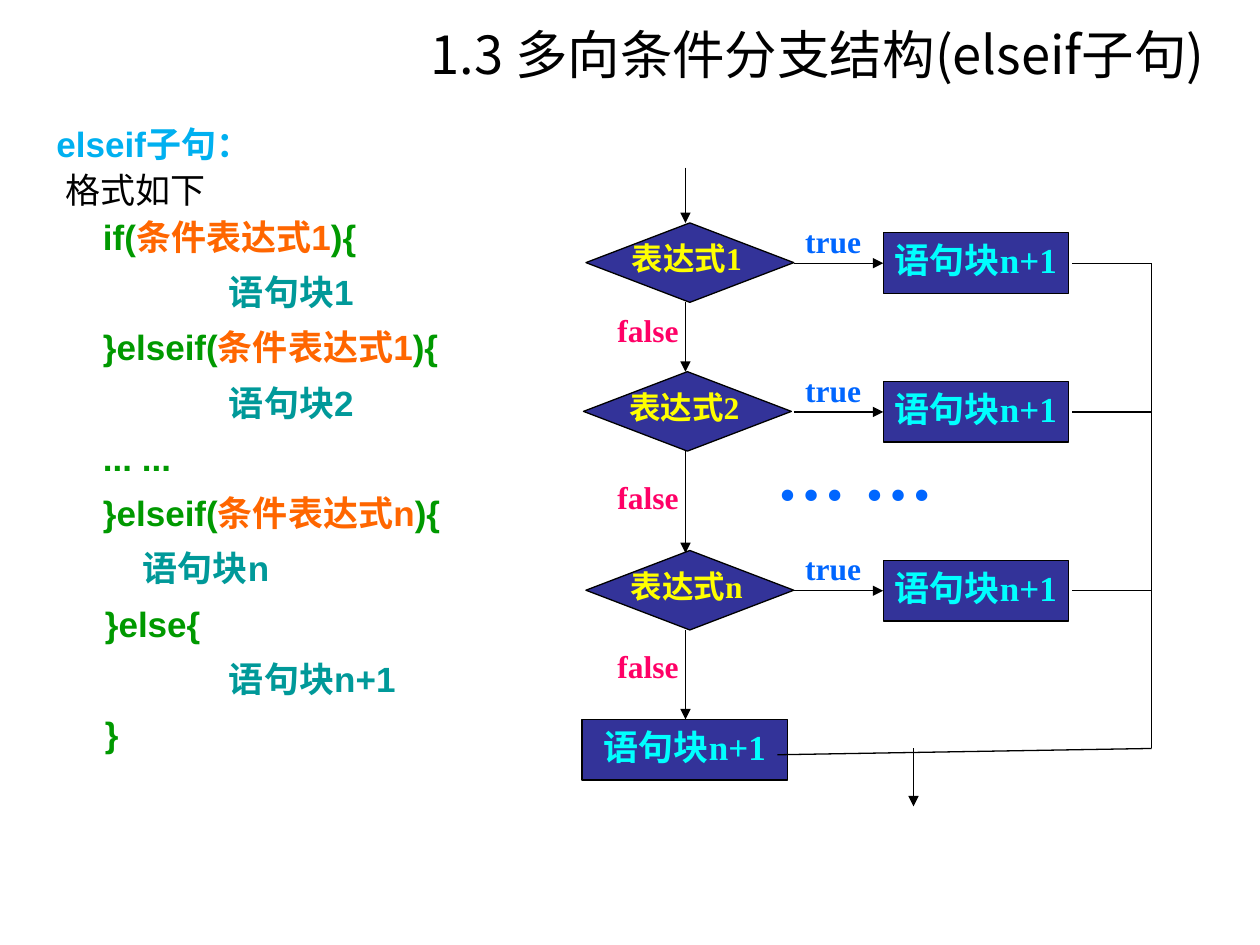
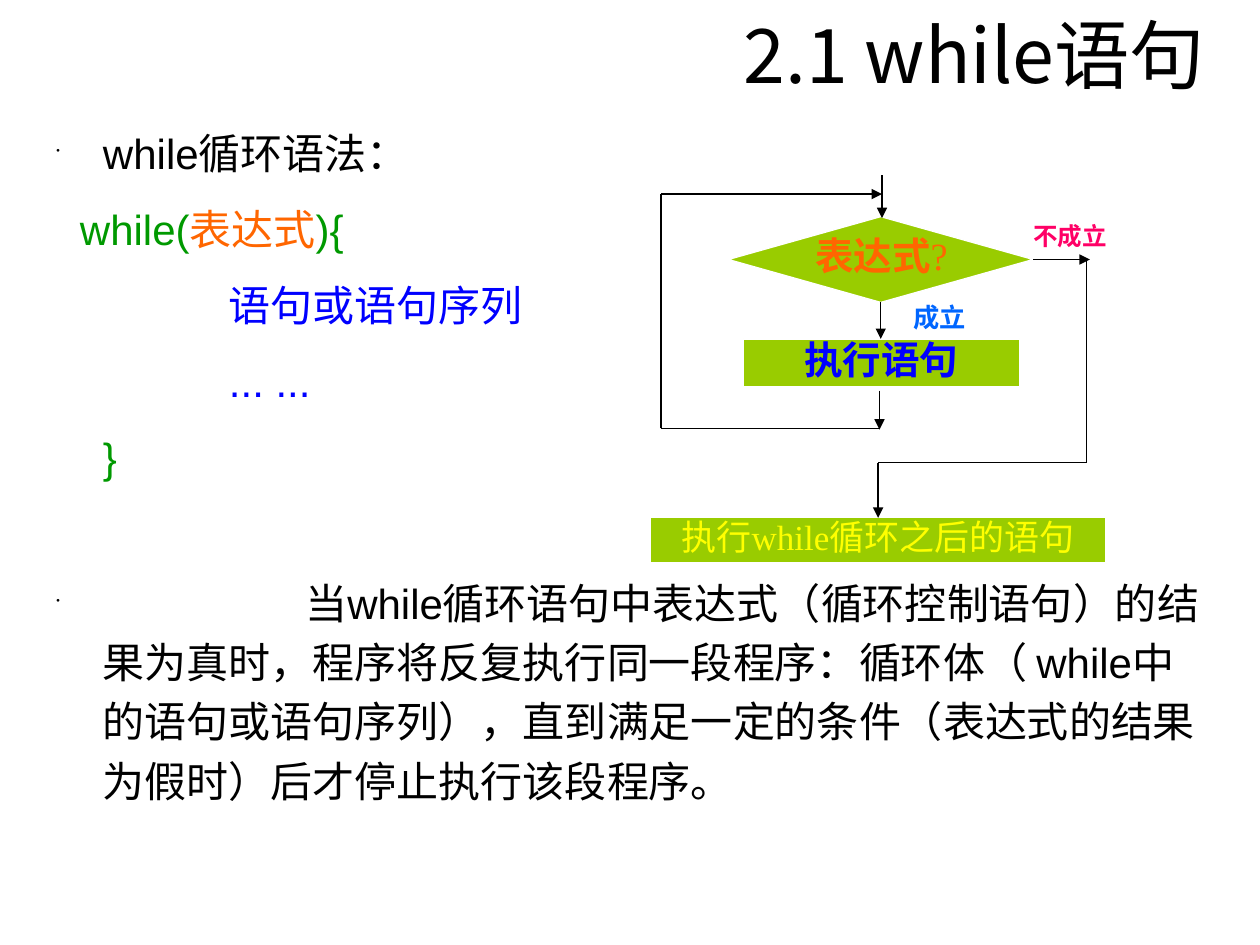
from dataclasses import dataclass
from typing import Optional

import pptx
import pptx.dml.color
import pptx.enum.shapes
import pptx.enum.text
import pptx.oxml
import pptx.oxml.ns
import pptx.util
from lxml import etree

Pt = pptx.util.Pt
Shapes = pptx.enum.shapes.MSO_SHAPE
Align = pptx.enum.text.PP_ALIGN
Anchor = pptx.enum.text.MSO_ANCHOR
qn = pptx.oxml.ns.qn


@dataclass(frozen=True)
class Theme:
    title_font: str = "Noto Sans CJK SC"
    body_font: str = "Arial"
    chart_font: str = "Times New Roman"
    black: str = "000000"
    white: str = "FFFFFF"
    heading: str = "00B0F0"
    keyword: str = "009900"
    condition: str = "FF6600"
    block: str = "009999"
    statement: str = "0000FF"
    navy: str = "333399"
    lime: str = "99CC00"
    yellow: str = "FFFF00"
    cyan: str = "00FFFF"
    yes: str = "0066FF"
    no: str = "FF0066"
    branch_title_size: float = 30
    loop_title_size: float = 43
    code_size: float = 20
    syntax_size: float = 24
    flow_size: float = 18
    result_size: float = 20
    loop_size: float = 22
    yes_size: float = 15
    no_size: float = 14
    dots_size: float = 40
    outline: float = 0.75


THEME = Theme()
HANG = 26.6
BLOCK_INDENT = 98.6
TAB_STEP = 71.1


@dataclass(frozen=True)
class Box:
    left: float
    top: float
    width: float
    height: float

    def lengths(self) -> tuple:
        return Pt(self.left), Pt(self.top), Pt(self.width), Pt(self.height)


@dataclass(frozen=True)
class Span:
    text: str
    color: str
    bold: Optional[bool] = None


@dataclass(frozen=True)
class Line:
    spans: tuple
    size: float
    font: str = THEME.chart_font
    bold: bool = False
    align: Align = Align.LEFT
    spacing: object = 1.0
    before: float = 0
    after: float = 0
    indent: float = 0
    bullet: bool = False


@dataclass(frozen=True)
class Branch:
    condition: str
    left: float
    top: float
    false_top: float
    next_top: float


@dataclass(frozen=True)
class Link:
    x1: float
    y1: float
    x2: float
    y2: float
    arrow: bool = False


BODY = Box(25.2, 69.1, 669.6, 396)


def rgb(value: str) -> pptx.dml.color.RGBColor:
    return pptx.dml.color.RGBColor.from_string(value)


def add_bullet(paragraph) -> None:
    properties = paragraph._p.get_or_add_pPr()
    properties.set("marL", str(Pt(HANG)))
    properties.set("indent", str(-Pt(HANG)))
    color = etree.SubElement(properties, qn("a:buClr"))
    etree.SubElement(color, qn("a:srgbClr"), val=THEME.black)
    etree.SubElement(properties, qn("a:buSzPct"), val="25000")
    etree.SubElement(properties, qn("a:buChar"), char="•")
    stops = etree.SubElement(properties, qn("a:tabLst"))
    for step in range(1, 9):
        etree.SubElement(stops, qn("a:tab"), pos=str(Pt(step * TAB_STEP)), algn="l")


def write(frame, lines: tuple, inset: float = 6.5, wrap: bool = True,
          anchor: Anchor = Anchor.TOP) -> None:
    frame.word_wrap = wrap
    frame.auto_size = pptx.enum.text.MSO_AUTO_SIZE.NONE
    frame.vertical_anchor = anchor
    frame.margin_left = frame.margin_right = Pt(inset)
    frame.margin_top = frame.margin_bottom = Pt(3.6)
    for index, line in enumerate(lines):
        paragraph = frame.add_paragraph() if index else frame.paragraphs[0]
        if line.bullet:
            add_bullet(paragraph)
        elif line.indent:
            paragraph._p.get_or_add_pPr().set("marL", str(Pt(line.indent)))
        paragraph.alignment = line.align
        paragraph.line_spacing = line.spacing
        paragraph.space_before = Pt(line.before)
        paragraph.space_after = Pt(line.after)
        paragraph.font.name = line.font
        paragraph.font.size = Pt(line.size)
        paragraph.font.bold = line.bold
        colors = {span.color for span in line.spans}
        if len(colors) == 1:
            paragraph.font.color.rgb = rgb(line.spans[0].color)
        for span in line.spans:
            run = paragraph.add_run()
            run.text = span.text
            if len(colors) > 1:
                run.font.color.rgb = rgb(span.color)
            if span.bold is not None:
                run.font.bold = span.bold


def add_titled_slide(deck, title: str, size: float):
    slide = deck.slides.add_slide(deck.slide_layouts[5])
    heading = slide.shapes.title
    heading.left, heading.top, heading.width, heading.height = Box(200.2, 5.8, 495.4, 49.7).lengths()
    line = Line((Span(title, THEME.black),), size, THEME.title_font, align=Align.RIGHT)
    write(heading.text_frame, (line,), 7.2, anchor=Anchor.MIDDLE)
    return slide


def add_text(slide, box: Box, lines: tuple, inset: float = 6.5) -> None:
    write(slide.shapes.add_textbox(*box.lengths()).text_frame, lines, inset)


def add_label(slide, box: Box, text: str, color: str, size: float) -> None:
    add_text(slide, box, (Line((Span(text, color),), size, bold=True, spacing=0.8),))


def add_figure(slide, kind: Shapes, box: Box, fill: str, outline: str,
               line: Optional[Line] = None, wrap: bool = True) -> None:
    figure = slide.shapes.add_shape(kind, *box.lengths())
    figure.shadow.inherit = False
    figure.fill.solid()
    figure.fill.fore_color.rgb = rgb(fill)
    figure.line.color.rgb = rgb(outline)
    figure.line.width = Pt(THEME.outline)
    if line:
        write(figure.text_frame, (line,), wrap=wrap)


def add_link(slide, link: Link) -> None:
    connector = slide.shapes.add_connector(
        pptx.enum.shapes.MSO_CONNECTOR.STRAIGHT,
        Pt(link.x1), Pt(link.y1), Pt(link.x2), Pt(link.y2))
    connector.line.color.rgb = rgb(THEME.black)
    connector.line.width = Pt(THEME.outline)
    properties = connector._element.spPr
    if link.arrow:
        etree.SubElement(properties.find(qn("a:ln")), qn("a:tailEnd"), type="triangle")
    etree.SubElement(properties, qn("a:effectLst"))


def add_result(slide, box: Box) -> None:
    line = Line((Span("语句块n+1", THEME.cyan),), THEME.result_size, bold=True, align=Align.CENTER)
    add_figure(slide, Shapes.RECTANGLE, box, THEME.navy, THEME.black, line, wrap=False)


def add_branch(slide, branch: Branch, stem: float, merge: float) -> None:
    top, middle = branch.top, branch.top + 23
    add_figure(slide, Shapes.DIAMOND, Box(branch.left, top, 118.8, 45.4), THEME.navy, THEME.black)
    condition = Line((Span(branch.condition, THEME.yellow),), THEME.flow_size,
                     bold=True, align=Align.CENTER)
    add_text(slide, Box(branch.left + 13, top + 5.8, 89.3, 28.1), (condition,))
    add_result(slide, Box(504.7, top + 5.6, 105.8, 34.6))
    add_label(slide, Box(453.6, top, 50, 23.8), "true", THEME.yes, THEME.flow_size)
    add_label(slide, Box(346.3, branch.false_top, 52, 23.8), "false", THEME.no, THEME.flow_size)
    add_link(slide, Link(453.6, middle, 504.7, middle, True))
    add_link(slide, Link(612.7, middle, merge, middle))
    add_link(slide, Link(stem, top + 45.4, stem, branch.next_top, True))


def code_line(indent: float, *spans: Span) -> Line:
    return Line(spans, THEME.code_size, THEME.body_font, True, spacing=0.9,
                before=5, after=5, indent=indent)


def condition_line(opening: str, condition: str) -> Line:
    return code_line(HANG, Span(opening, THEME.keyword), Span(condition, THEME.condition),
                     Span("){", THEME.keyword))


def syntax_line(indent: float, *spans: Span) -> Line:
    return Line(spans, THEME.syntax_size, THEME.body_font, spacing=1.3, before=6, indent=indent)


def build_elseif(deck) -> None:
    slide = add_titled_slide(deck, "1.3 多向条件分支结构(elseif子句)", THEME.branch_title_size)
    add_text(slide, BODY, (
        Line((Span("elseif子句：", THEME.heading),), THEME.code_size, THEME.body_font, True,
             spacing=0.9),
        Line((Span("格式如下", THEME.black),), THEME.code_size, THEME.body_font,
             spacing=0.9, before=5, indent=5),
        condition_line("if(", "条件表达式1"),
        code_line(BLOCK_INDENT, Span("语句块1", THEME.block)),
        condition_line("}elseif(", "条件表达式1"),
        code_line(BLOCK_INDENT, Span("语句块2", THEME.block)),
        code_line(HANG, Span("... ...", THEME.keyword)),
        condition_line("}elseif(", "条件表达式n"),
        code_line(49.3, Span("语句块n", THEME.block)),
        code_line(27.7, Span("}else{", THEME.keyword)),
        code_line(BLOCK_INDENT, Span("语句块n+1", THEME.block)),
        code_line(27.7, Span("}", THEME.keyword)),
    ), 7.2)

    stem, merge, merge_bottom, else_top = 391.7, 658.1, 427.7, 411.1
    add_result(slide, Box(332.6, else_top, 117.4, 34.6))
    for branch in (
        Branch("表达式1", 334.8, 127.4, 178.6, 212.4),
        Branch("表达式2", 333.4, 212.4, 273.6, 316.1),
        Branch("表达式n", 334.8, 314.6, 370.1, else_top),
    ):
        add_branch(slide, branch, stem, merge)
    for link in (
        Link(stem, 95.8, stem, 127.4, True),
        Link(merge, 150.4, merge, merge_bottom),
        Link(merge, merge_bottom, 444.2, 431.3),
        Link(522, merge_bottom, 522, 460.8, True),
    ):
        add_link(slide, link)
    add_label(slide, Box(437, 252, 107.3, 44.6), "… …", THEME.yes, THEME.dots_size)


def build_while(deck) -> None:
    slide = add_titled_slide(deck, "2.1 while语句", THEME.loop_title_size)
    explanation = (
        "\t\t当while循环语句中表达式（循环控制语句）的结果为真时，程序将反复执行同一段程序："
        "循环体（ while中的语句或语句序列），直到满足一定的条件（表达式的结果为假时）"
        "后才停止执行该段程序。")
    add_text(slide, BODY, (
        Line((Span("while循环语法：", THEME.black),), THEME.syntax_size, THEME.body_font,
             bullet=True),
        syntax_line(13.4, Span("while(", THEME.keyword), Span("表达式", THEME.condition),
                    Span("){", THEME.keyword)),
        syntax_line(BLOCK_INDENT, Span("语句或语句序列", THEME.statement)),
        syntax_line(BLOCK_INDENT, Span("... ...", THEME.statement)),
        syntax_line(HANG, Span("}", THEME.keyword)),
        Line((Span(explanation, THEME.black),), THEME.syntax_size, THEME.body_font,
             spacing=Pt(34), before=49.4, bullet=True),
    ), 7.2)

    add_figure(slide, Shapes.DIAMOND, Box(416.2, 123.8, 174.2, 49), THEME.lime, THEME.white)
    question = Line((Span("表达式", THEME.condition), Span("?", THEME.condition, False)),
                    THEME.loop_size, bold=True, align=Align.CENTER)
    add_text(slide, Box(452.9, 128.9, 101.5, 33.1), (question,))
    for box, text, color, size, bold in (
        (Box(424.8, 193.7, 157.7, 27.4), "执行语句", THEME.statement, THEME.loop_size, True),
        (Box(371.5, 295.9, 260.6, 25.9), "执行while循环之后的语句", THEME.yellow,
         THEME.result_size, False),
    ):
        line = Line((Span(text, color),), size, bold=bold, align=Align.CENTER, spacing=0.8)
        add_figure(slide, Shapes.RECTANGLE, box, THEME.lime, THEME.white, line)
    add_label(slide, Box(515.5, 172.1, 56.9, 20.9), "成立", THEME.yes, THEME.yes_size)
    add_label(slide, Box(583.9, 126, 56.9, 20.2), "不成立", THEME.no, THEME.no_size)

    axis, loop_left, exit_right = 503.3, 377.8, 620.8
    loop_top, loop_bottom, exit_bottom = 110.9, 244.8, 264.4
    for link in (
        Link(axis + 0.7, 100.1, axis + 0.7, 124.6, True),
        Link(axis, 172.8, axis, 193.7, True),
        Link(axis - 0.7, 223.2, axis - 0.7, 245.5, True),
        Link(axis - 0.7, loop_bottom, loop_left, loop_bottom),
        Link(loop_left, loop_bottom, loop_left, loop_top),
        Link(loop_left, loop_top, axis + 0.7, loop_top, True),
        Link(590.4, 148.3, 622.8, 148.3, True),
        Link(exit_right, 148.3, exit_right, exit_bottom),
        Link(exit_right, exit_bottom, axis - 1.5, exit_bottom),
        Link(axis - 1.5, exit_bottom, axis - 1.5, 295.9, True),
    ):
        add_link(slide, link)


def main() -> None:
    deck = pptx.Presentation()
    deck.slide_width, deck.slide_height = Pt(720), Pt(540)
    build_elseif(deck)
    build_while(deck)
    deck.save("out.pptx")


if __name__ == "__main__":
    main()
